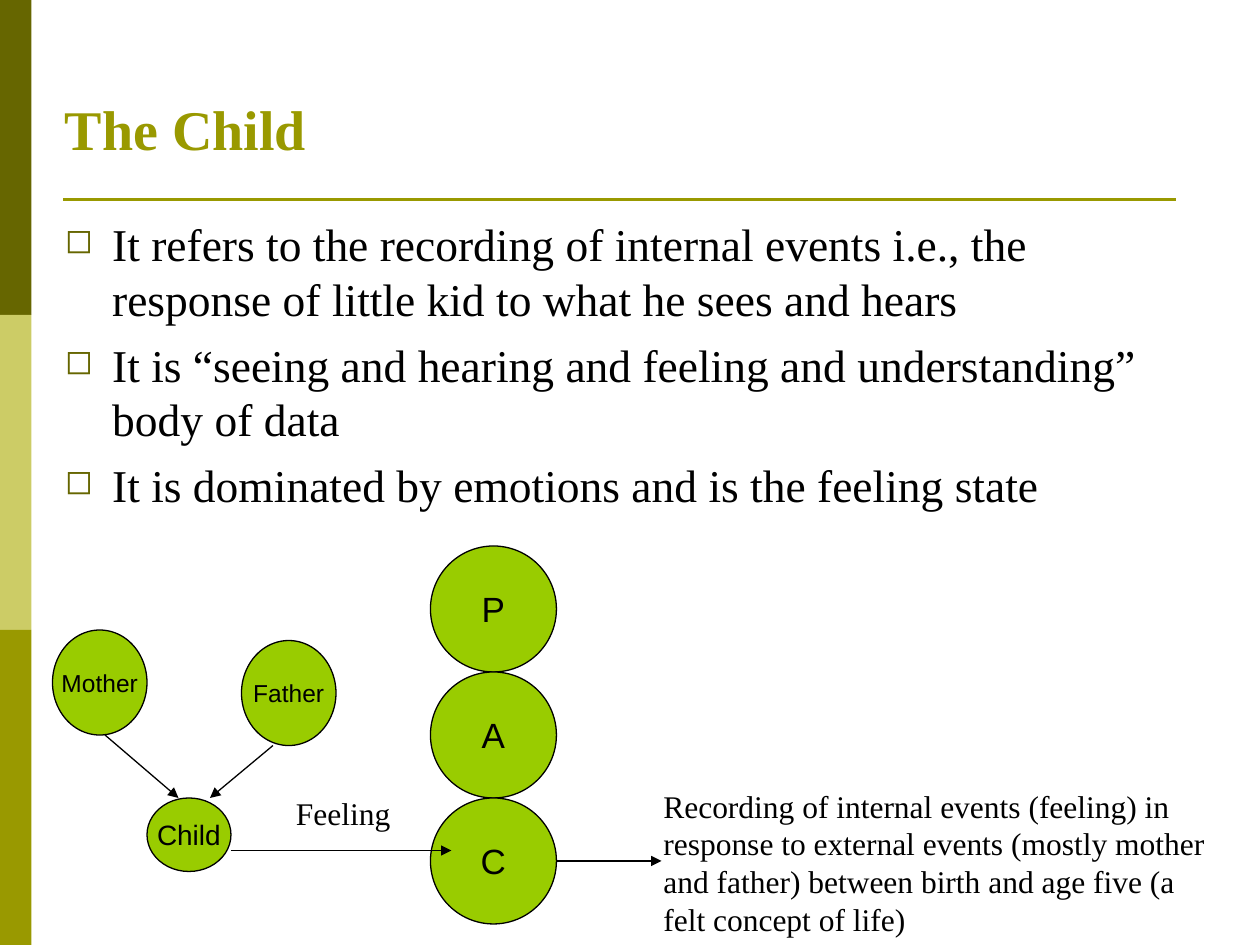
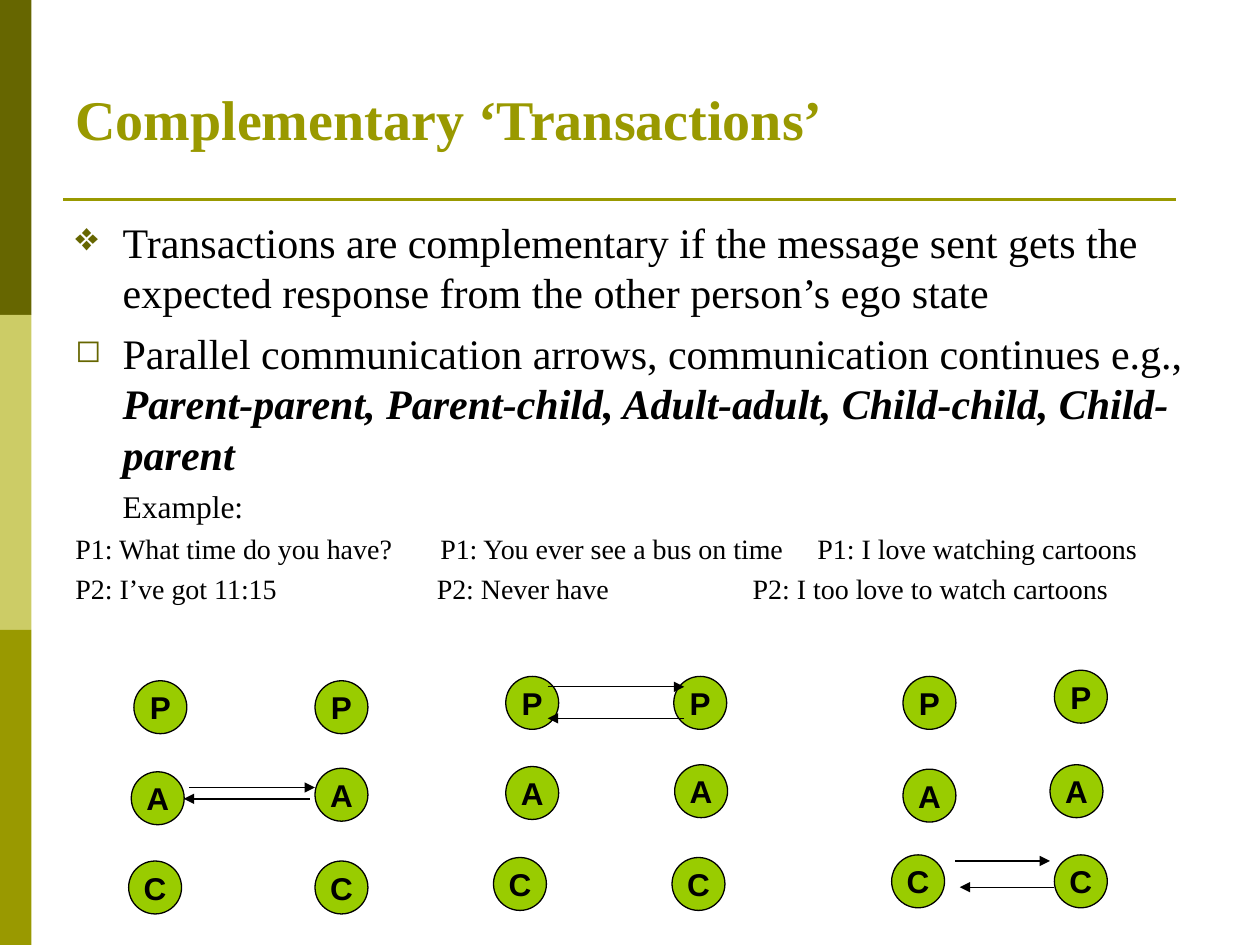
import pptx
import pptx.dml.color
import pptx.enum.shapes
import pptx.enum.text
import pptx.oxml.ns
import pptx.util
from lxml import etree

Pt = pptx.util.Pt
qn = pptx.oxml.ns.qn
Shape = pptx.enum.shapes.MSO_SHAPE
Connector = pptx.enum.shapes.MSO_CONNECTOR
Align = pptx.enum.text.PP_ALIGN
Anchor = pptx.enum.text.MSO_ANCHOR

BLACK, DARK_OLIVE, OLIVE, PALE_OLIVE, GREEN = "000000", "666600", "999900", "CCCC66", "99CC00"
SERIF, SANS = "Times New Roman", "Arial"
SQUARE, DIAMONDS = ("◻", 75), ("❖", 95)
HANGING = 27
EGO_STATES = "PAC"
TITLE = {"name": SERIF, "size": Pt(32), "bold": True}


def colour(hex_text):
    return pptx.dml.color.RGBColor.from_string(hex_text)


def write(box, paragraphs, font, ink=BLACK, align=Align.LEFT, anchor=Anchor.TOP, wrap=True):
    """Fill a box with paragraphs, each a dict with spans and optional size, gap, bullet, left and tabs."""
    frame = box.text_frame
    frame.word_wrap = wrap
    frame.vertical_anchor = anchor
    for index, content in enumerate(paragraphs):
        para = frame.add_paragraph() if index else frame.paragraphs[0]
        para.alignment = align
        properties = para._p.get_or_add_pPr()
        if "bullet" in content:
            symbol, percent = content["bullet"]
            properties.set("marL", str(Pt(HANGING)))
            properties.set("indent", str(-Pt(HANGING)))
            bullet_colour = etree.SubElement(properties, qn("a:buClr"))
            etree.SubElement(bullet_colour, qn("a:srgbClr"), val=DARK_OLIVE)
            etree.SubElement(properties, qn("a:buSzPct"), val=str(percent * 1000))
            etree.SubElement(properties, qn("a:buChar"), char=symbol)
        elif "left" in content:
            properties.set("marL", str(Pt(content["left"])))
        if "tabs" in content:
            tab_list = etree.SubElement(properties, qn("a:tabLst"))
            for position in content["tabs"]:
                etree.SubElement(tab_list, qn("a:tab"), pos=str(Pt(position)), algn="l")
        if index:
            para.space_before = Pt(content.get("gap", 0))
        for text, emphasis in content["spans"]:
            span = para.add_run()
            span.text = text
            span.font.color.rgb = colour(ink)
            values = {**font, **emphasis}
            if "size" in content:
                values["size"] = Pt(content["size"])
            for attribute, value in values.items():
                setattr(span.font, attribute, value)


child_points = [
    "It refers to the recording of internal events i.e., the response of little kid to what he sees and hears",
    "It is “seeing and hearing and feeling and understanding” body of data",
    "It is dominated by emotions and is the feeling state",
]
transaction_points = [
    {"bullet": DIAMONDS, "spans": [
        ("Transactions are complementary if the message sent gets the expected response "
         "from the other person’s ego state", {})]},
    {"bullet": SQUARE, "gap": 6, "spans": [
        ("Parallel communication arrows, communication continues e.g., ", {}),
        ("Parent-parent, Parent-child, Adult-adult, Child-child, Child-parent",
         {"bold": True, "italic": True})]},
    {"left": HANGING, "gap": 4.5, "size": 18, "spans": [("Example:", {})]},
    {"tabs": [208.5, 424], "gap": 4, "size": 16, "spans": [
        ("P1: What time do you have?\tP1: You ever see a bus on time\tP1: I love watching cartoons", {})]},
    {"tabs": [206.5, 387], "gap": 4, "size": 16, "spans": [
        ("P2: I’ve got 11:15\tP2: Never have\tP2: I too love to watch cartoons", {})]},
]

# Circles: label, left, top, width, height, text size
family_circles = [
    ("Child", 84, 456, 48, 42, 16),
    ("Mother", 30, 360, 54, 60, 14),
    ("Father", 138, 366, 54, 60, 14),
]
ego_circles = [(state, 246, 312 + 72 * row, 72, 72, 20) for row, state in enumerate(EGO_STATES)]

# Left and top of the P, A and C circle of each person
people = [
    [(76.5, 389), (75, 441), (73.5, 492)],
    [(180, 389), (180, 439), (180, 492)],
    [(289, 386.5), (289, 438), (282, 490)],
    [(385, 386.5), (385.5, 437), (384, 490)],
    [(516, 386.5), (516, 439.5), (509.5, 488.5)],
    [(602.5, 383), (600, 437), (602.5, 488.5)],
]
people_circles = [
    (state, left, top, 30.25, 30.25, 18)
    for person in people for state, (left, top) in zip(EGO_STATES, person)
]

slides = [
    {
        "title": "The Child", "title_place": (30, 30, 648, 66),
        "points": [{"bullet": SQUARE, "gap": 6.5, "spans": [(text, {})]} for text in child_points],
        "points_place": (30, 120, 648, 357), "points_size": 26,
        "circles": ego_circles + family_circles, "circle_bold": False,
        "arrows": [(156, 426, 120, 456), (60, 420, 102, 456), (132, 486, 258, 486), (318, 492, 378, 492)],
        "captions": [
            ("Feeling", (162, 450, 78, 29)),
            ("Recording of internal events (feeling) in response to external events (mostly mother "
             "and father) between birth and age five (a felt concept of life)", (372, 446, 325, 94)),
        ],
    },
    {
        "title": "Complementary ‘Transactions’", "title_place": (36, 0, 648, 90),
        "points": transaction_points,
        "points_place": (36, 120, 672, 420), "points_size": 24,
        "circles": people_circles, "circle_bold": True,
        "arrows": [
            (108, 450, 180, 450), (177, 456.5, 105, 456.5),
            (313, 392.5, 391, 392.5), (391, 410.5, 313, 410.5),
            (546, 492, 600, 492), (602.5, 507, 548.5, 507),
        ],
        "captions": [],
    },
]

deck = pptx.Presentation()
deck.slide_width, deck.slide_height = Pt(720), Pt(540)

for slide in slides:
    page = deck.slides.add_slide(deck.slide_layouts[6])
    shapes = page.shapes

    for row, band_colour in enumerate([DARK_OLIVE, PALE_OLIVE, OLIVE]):
        band = shapes.add_shape(Shape.RECTANGLE, Pt(0), Pt(180 * row), Pt(18), Pt(180))
        band.shadow.inherit = False
        band.fill.solid()
        band.fill.fore_color.rgb = colour(band_colour)
        band.line.fill.background()

    title = shapes.add_textbox(*map(Pt, slide["title_place"]))
    write(title, [{"spans": [(slide["title"], {})]}], TITLE, ink=OLIVE, anchor=Anchor.BOTTOM)
    points = shapes.add_textbox(*map(Pt, slide["points_place"]))
    write(points, slide["points"], {"name": SERIF, "size": Pt(slide["points_size"])})

    for label, left, top, width, height, size in slide["circles"]:
        circle = shapes.add_shape(Shape.FLOWCHART_CONNECTOR, Pt(left), Pt(top), Pt(width), Pt(height))
        circle.shadow.inherit = False
        circle.fill.solid()
        circle.fill.fore_color.rgb = colour(GREEN)
        circle.line.color.rgb = colour(BLACK)
        circle.line.width = Pt(0.75)
        write(circle, [{"spans": [(label, {})]}],
              {"name": SANS, "size": Pt(size), "bold": slide["circle_bold"]},
              align=Align.CENTER, anchor=Anchor.MIDDLE, wrap=False)

    title_rule = (36, 114, 672, 114)
    for ends in [title_rule] + slide["arrows"]:
        is_rule = ends is title_rule
        line = shapes.add_connector(Connector.STRAIGHT, *map(Pt, ends))
        line.line.color.rgb = colour(OLIVE if is_rule else BLACK)
        line.line.width = Pt(1.5 if is_rule else 0.75)
        properties = line.element.spPr
        if not is_rule:
            etree.SubElement(properties.find(qn("a:ln")), qn("a:tailEnd"), type="triangle")
        etree.SubElement(properties, qn("a:effectLst"))

    for text, place in slide["captions"]:
        caption = shapes.add_textbox(*map(Pt, place))
        write(caption, [{"spans": [(text, {})]}], {"name": SERIF, "size": Pt(18)})

deck.save("out.pptx")
